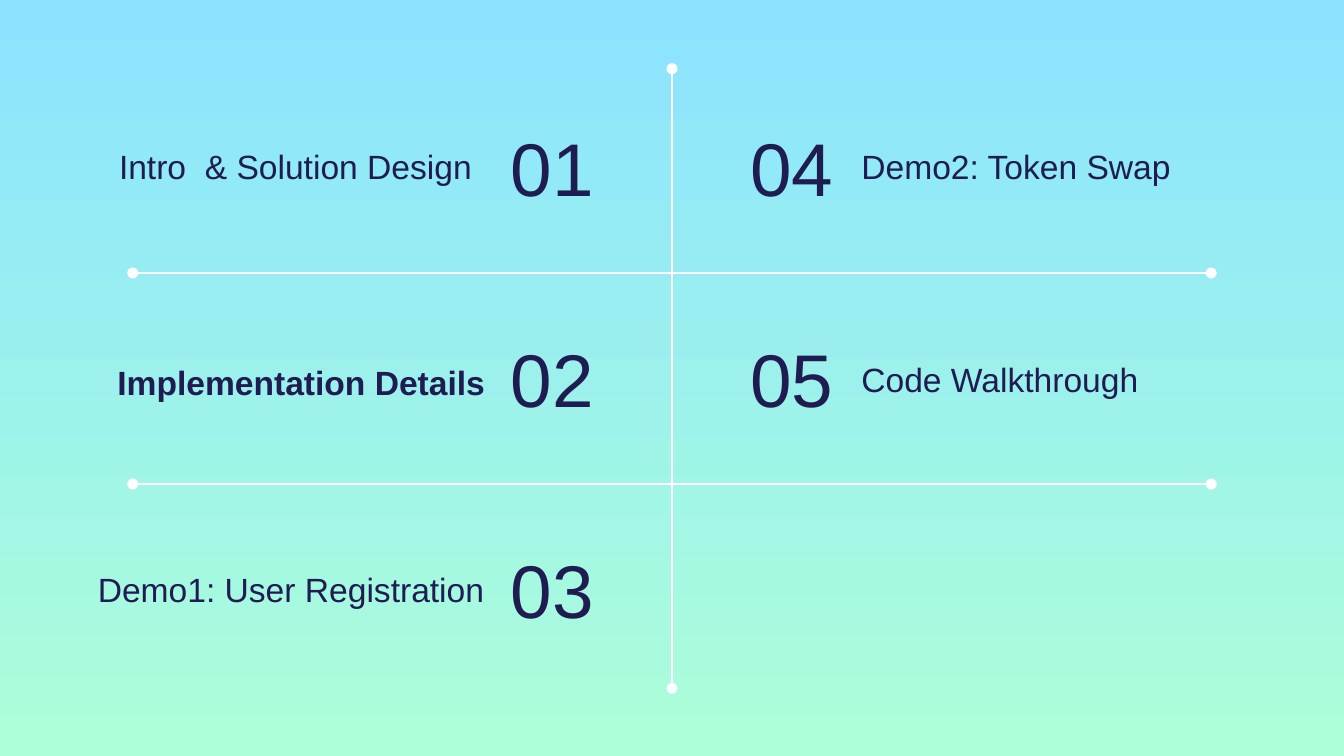
from dataclasses import dataclass

import pptx
import pptx.dml.color
import pptx.enum.shapes
import pptx.enum.text
import pptx.util
from lxml import etree
from pptx.oxml.ns import qn

Cm = pptx.util.Cm
Pt = pptx.util.Pt
Align = pptx.enum.text.PP_ALIGN
Anchor = pptx.enum.text.MSO_ANCHOR


def rgb(code):
    return pptx.dml.color.RGBColor.from_string(code)


@dataclass(frozen=True)
class Theme:
    ink = rgb("1F1C51")
    rule = rgb("FFFFFF")
    top = rgb("8BE3FF")
    base = rgb("ACFFD9")
    font = "Arial"
    number = Pt(40)
    label = Pt(18)
    stroke = Pt(1.5)
    pad = Cm(0.25)


theme = Theme()


@dataclass(frozen=True)
class Box:
    x: float
    y: float
    w: float
    h: float


GRID = Box(2.51, 1.17, 20.38, 11.97)
ROWS = 3
NUM = Box(0, 0.89, 3.3, 2.18)

# Column, row, number, label, bold, label box measured from its cell
ITEMS = [
    (0, 0, "01", "Intro  & Solution Design", False, Box(-0.91, 0.76, 7.57, 1.85)),
    (0, 1, "02", "Implementation Details", True, Box(-0.66, 0.4, 7.57, 2.29)),
    (0, 2, "03", "Demo1: User Registration", False, Box(-0.91, 1.54, 8.1, 1.07)),
    (1, 0, "04", "Demo2: Token Swap", False, Box(3.33, 0.43, 7.57, 2.18)),
    (1, 1, "05", "Code Walkthrough", False, Box(3.33, 1.19, 7.57, 1.45)),
]


def paint(slide):
    """Fill the background from blue at the top to green at the base."""
    fill = slide.background.fill
    fill.gradient()
    fill.gradient_angle = 270
    for stop, color in zip(fill.gradient_stops, (theme.top, theme.base)):
        stop.color.rgb = color


def rule(slide, x1, y1, x2, y2):
    """Draw a line with a round dot at each end."""
    kind = pptx.enum.shapes.MSO_CONNECTOR.STRAIGHT
    line = slide.shapes.add_connector(kind, Cm(x1), Cm(y1), Cm(x2), Cm(y2))
    line.line.color.rgb = theme.rule
    line.line.width = theme.stroke
    stroke = line.line._get_or_add_ln()
    for end in ("a:headEnd", "a:tailEnd"):
        etree.SubElement(stroke, qn(end), type="oval")
    etree.SubElement(line._element.spPr, qn("a:effectLst"))


def grid(slide, box):
    mid = box.x + box.w / 2
    rule(slide, mid, box.y + 0.13, mid, box.y + box.h - 0.13)
    for row in range(1, ROWS):
        y = box.y + row * box.h / ROWS
        rule(slide, box.x, y, box.x + box.w, y)


def write(slide, box, text, size, align, anchor, bold=False):
    shape = slide.shapes.add_textbox(Cm(box.x), Cm(box.y), Cm(box.w), Cm(box.h))
    frame = shape.text_frame
    frame.word_wrap = True
    frame.vertical_anchor = anchor
    frame.margin_left = frame.margin_right = theme.pad
    frame.margin_top = frame.margin_bottom = theme.pad
    frame.text = text
    para = frame.paragraphs[0]
    para.alignment = align
    font = para.runs[0].font
    font.name = theme.font
    font.size = size
    font.bold = bold
    font.color.rgb = theme.ink


def entry(slide, cell, left, number, label, bold, spot):
    """Place a number beside the middle rule and its label further out."""
    x = cell.x + cell.w - NUM.w if left else cell.x
    align = Align.LEFT if left else Align.RIGHT
    box = Box(x, cell.y + NUM.y, NUM.w, NUM.h)
    write(slide, box, number, theme.number, align, Anchor.MIDDLE)
    # The widest label fills its box and starts at the left edge
    align = Align.RIGHT if left and spot.w < 8 else Align.LEFT
    box = Box(cell.x + spot.x, cell.y + spot.y, spot.w, spot.h)
    write(slide, box, label, theme.label, align, Anchor.BOTTOM, bold)


def agenda(slide, box):
    grid(slide, box)
    w, h = box.w / 2, box.h / ROWS
    for col, row, *parts in ITEMS:
        cell = Box(box.x + col * w, box.y + row * h, w, h)
        entry(slide, cell, col == 0, *parts)


def main():
    deck = pptx.Presentation()
    deck.slide_width = Cm(25.4)
    deck.slide_height = Cm(14.29)
    slide = deck.slides.add_slide(deck.slide_layouts[6])
    paint(slide)
    agenda(slide, GRID)
    deck.save("out.pptx")


if __name__ == "__main__":
    main()
